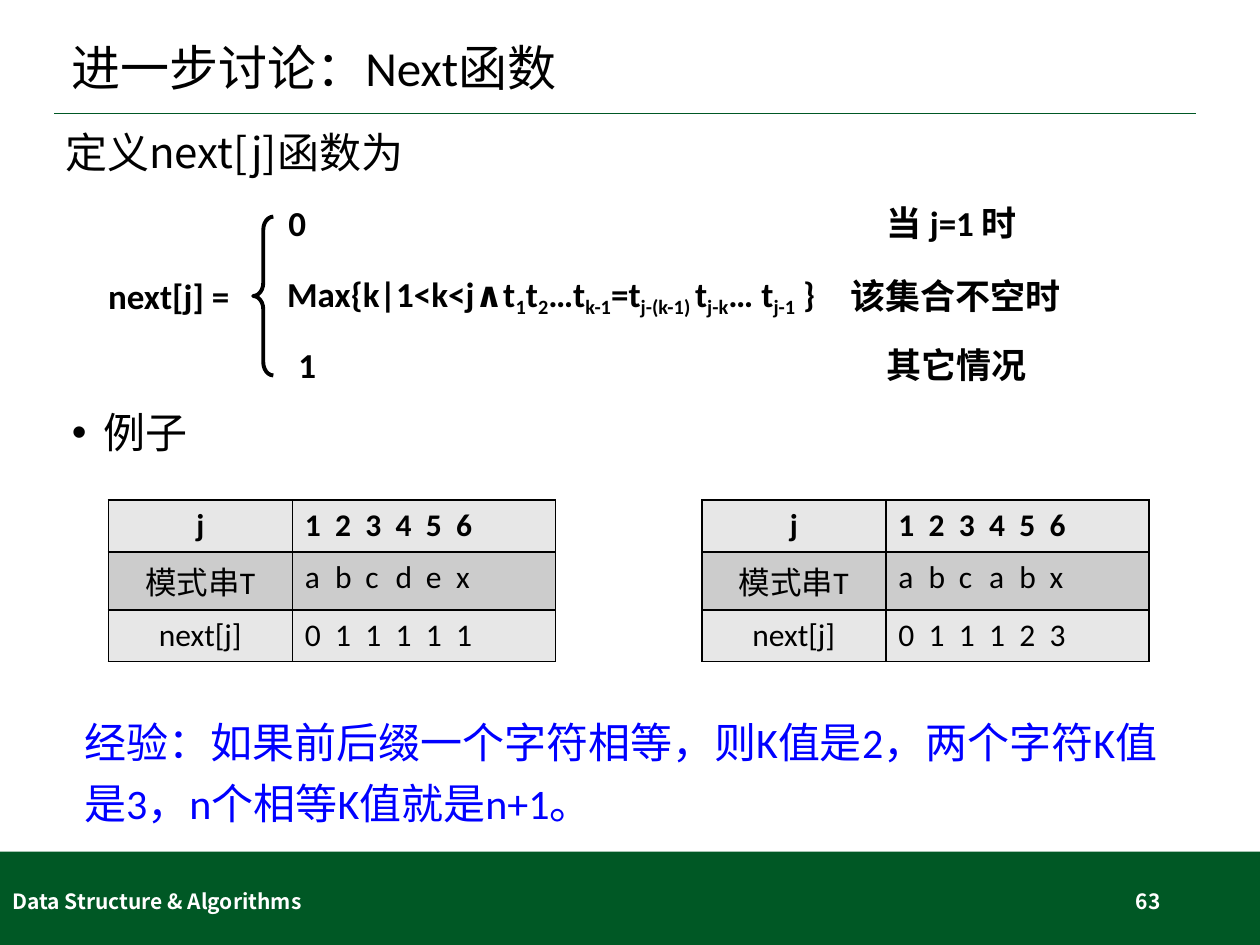
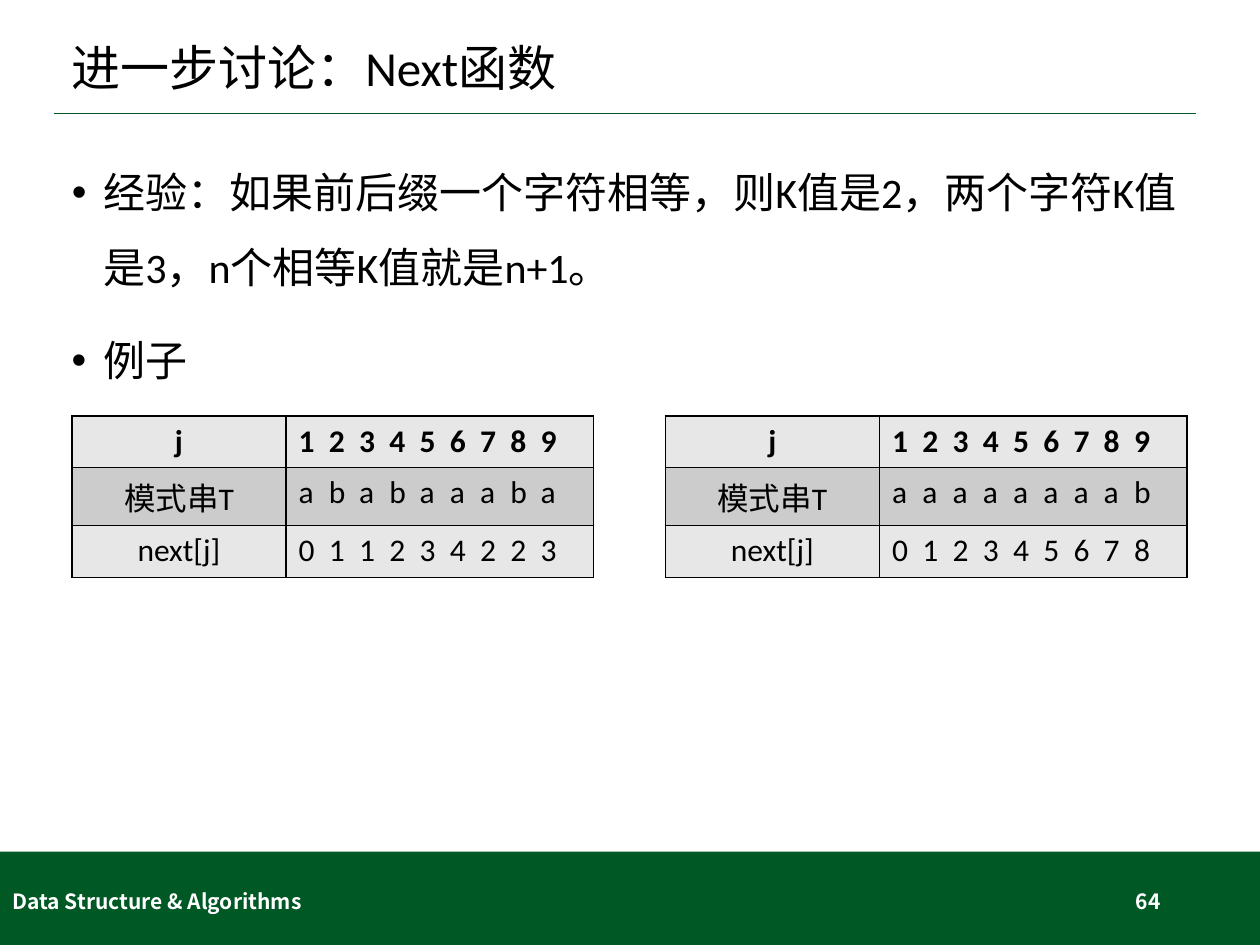
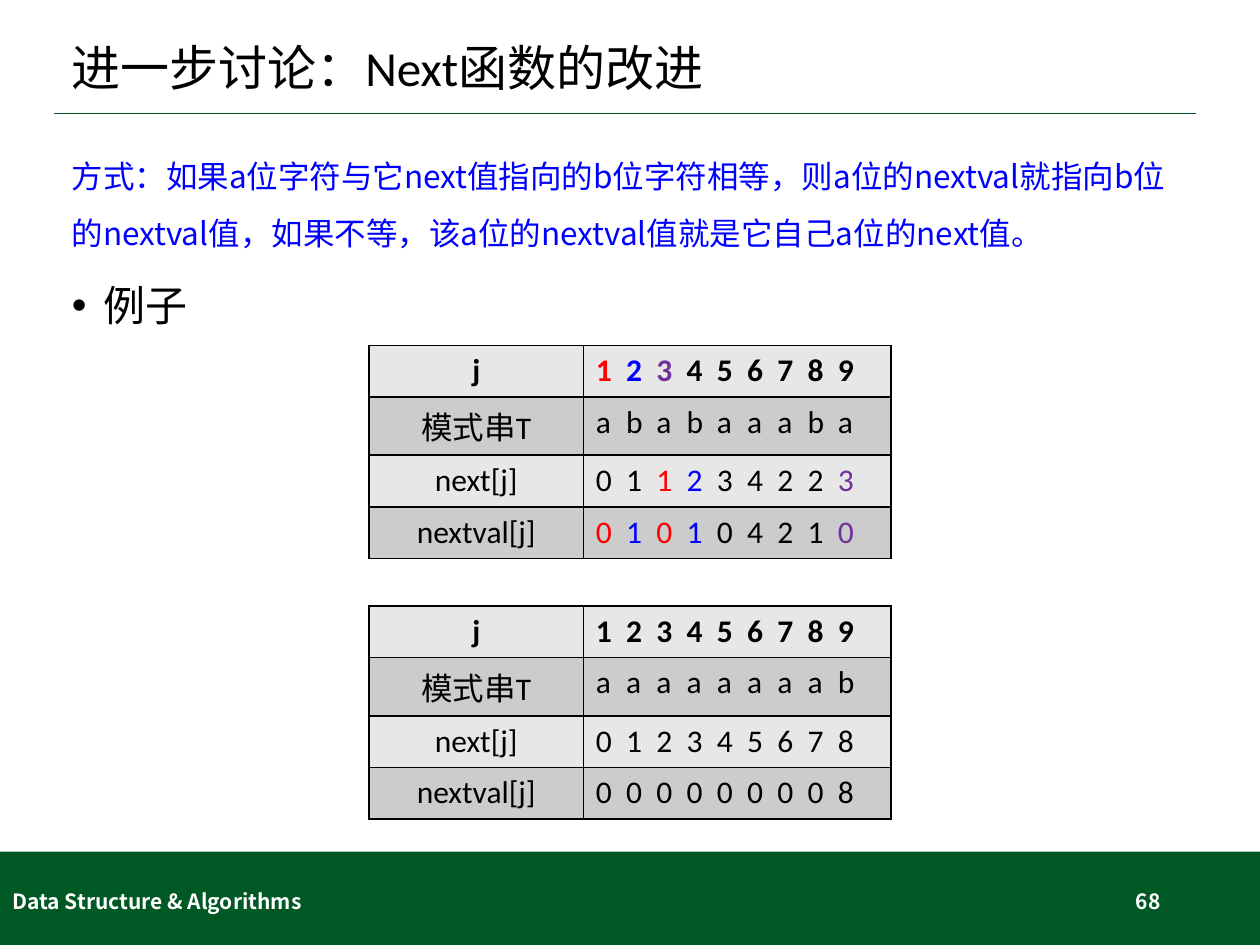
"""Build three slides on the next function of string pattern matching."""
from itertools import groupby

from lxml.etree import SubElement
from pptx import Presentation
from pptx.dml.color import RGBColor
from pptx.enum.shapes import MSO_CONNECTOR, MSO_SHAPE
from pptx.enum.text import MSO_ANCHOR, MSO_AUTO_SIZE, PP_ALIGN
from pptx.oxml.ns import qn
from pptx.util import Inches, Pt

COLORS = {
    "green": "005825", "white": "FFFFFF", "black": "000000",
    "red": "FF0000", "blue": "0000FF", "purple": "7030A0",
    "light": "E7E7E7", "dark": "CCCCCC",
}
TINTS = {"k": "black", "r": "red", "b": "blue", "p": "purple"}
RGB = {name: RGBColor.from_string(value) for name, value in COLORS.items()}
LATIN, CJK = "Calibri", "Noto Sans CJK SC"
PITCH = 0.24


def write(slide, text, at=None, holder=None, size=24, color="black", bold=False, font=LATIN,
          align=PP_ALIGN.LEFT, spacing=1.0, anchor=MSO_ANCHOR.TOP, bullet=False, stops=0):
    """Write text, or (text, run format) pairs, into a holder or a new text box."""
    if holder is None:
        holder = slide.shapes.add_textbox(0, 0, 0, 0)
    frame = holder.text_frame
    if at:
        holder.left, holder.top, holder.width, holder.height = map(Inches, at)
        frame.word_wrap = True
        frame.auto_size = MSO_AUTO_SIZE.NONE
        frame.vertical_anchor = anchor
    paragraph = frame.paragraphs[0]
    properties = paragraph._p.get_or_add_pPr()
    if bullet:
        properties.set("marL", str(Inches(0.25)))
        properties.set("indent", str(-Inches(0.25)))
        SubElement(properties, qn("a:buFont"), typeface="Arial")
        SubElement(properties, qn("a:buChar"), char="•")
    if stops:
        tabs = SubElement(properties, qn("a:tabLst"))
        for stop in range(1, stops + 1):
            SubElement(tabs, qn("a:tab"), pos=str(Inches(PITCH * stop)), algn="l")
    paragraph.alignment = align
    paragraph.line_spacing = spacing
    paragraph.space_before = Pt(0)
    for words, extra in [(text, {})] if isinstance(text, str) else text:
        run = paragraph.add_run()
        run.text = words
        run.font.size = Pt(size)
        run.font.bold = bold
        run.font.name = font
        run.font.color.rgb = RGB[extra.get("color", color)]
        run_properties = run._r.get_or_add_rPr()
        SubElement(run_properties, qn("a:ea"), typeface=CJK)
        if "base" in extra:
            run_properties.set("baseline", str(extra["base"] * 1000))


def add_grid(slide, left, top, widths, rows):
    """Add a table of (label, symbols, tints) rows, one tab stop for each symbol."""
    grid = slide.shapes.add_table(len(rows), 2, Inches(left), Inches(top),
                                  Inches(sum(widths)), Inches(0.41 * len(rows))).table
    grid.first_row = grid.horz_banding = False
    for column, width in zip(grid.columns, widths):
        column.width = Inches(width)
    for index, (label, symbols, *tints) in enumerate(rows):
        grid.rows[index].height = Inches(0.41)
        pairs = list(zip(symbols, tints[0] if tints else "k" * len(symbols)))
        parts = [("".join(symbol + "\t" for symbol, _ in group), {"color": TINTS[tint]})
                 for tint, group in groupby(pairs, key=lambda pair: pair[1])]
        parts[-1] = (parts[-1][0].rstrip("\t"), parts[-1][1])
        heading, values = grid.cell(index, 0), grid.cell(index, 1)
        write(slide, label, holder=heading, size=18, bold=index == 0, align=PP_ALIGN.CENTER)
        write(slide, parts, holder=values, size=18, bold=index == 0, stops=len(symbols))
        for cell in (heading, values):
            borders = cell._tc.get_or_add_tcPr()
            for side in ("a:lnL", "a:lnR", "a:lnT", "a:lnB"):
                edge = SubElement(borders, qn(side), w=str(Pt(1)))
                ink = SubElement(edge, qn("a:solidFill"))
                SubElement(ink, qn("a:srgbClr"), val=COLORS["black"])
            cell.fill.solid()
            cell.fill.fore_color.rgb = RGB["dark" if index % 2 else "light"]


deck = Presentation()
deck.slide_width, deck.slide_height = Inches(10), Inches(7.5)

RULE = "经验：如果前后缀一个字符相等，则K值是2，两个字符K值是3，n个相等K值就是n+1。"
EXAMPLE = "例子"
pages = [
    ("进一步讨论：Next函数", "63", EXAMPLE, 3.22, 0.9),
    ("进一步讨论：Next函数", "64", RULE, 1.07, 1.5),
    ("进一步讨论：Next函数的改进", "68", EXAMPLE, 2.21, 0.9),
]
slides = []
for title, number, body, body_top, body_spacing in pages:
    slide = deck.slides.add_slide(deck.slide_layouts[1])
    slides.append(slide)

    band = slide.shapes.add_shape(MSO_SHAPE.RECTANGLE, 0, Inches(6.76), Inches(10), Inches(0.74))
    band.shadow.inherit = False
    band.fill.solid()
    band.fill.fore_color.rgb = RGB["green"]
    band.line.fill.background()

    underline = slide.shapes.add_connector(MSO_CONNECTOR.STRAIGHT, Inches(0.43), Inches(0.9),
                                           Inches(9.49), Inches(0.9))
    underline.line.color.rgb = RGB["green"]
    underline.line.width = Pt(1)
    SubElement(underline._element.spPr, qn("a:effectLst"))

    write(slide, title, (0.47, 0.23, 9.06, 0.66), slide.shapes.title, size=28,
          spacing=0.9, anchor=MSO_ANCHOR.MIDDLE)
    write(slide, body, (0.47, body_top, 9.06, 6.61 - body_top), slide.placeholders[1],
          spacing=body_spacing, bullet=True)
    footer = dict(size=12, color="white", bold=True, font=CJK, anchor=MSO_ANCHOR.MIDDLE)
    write(slide, number, (7.06, 6.95, 2.25, 0.4), align=PP_ALIGN.RIGHT, **footer)
    write(slide, "Data Structure & Algorithms", (0, 6.95, 3.38, 0.4), **footer)

definition, experience, improvement = slides

write(definition, "定义next[j]函数为", (0.42, 0.93, 3.4, 0.55), font=CJK, anchor=MSO_ANCHOR.MIDDLE)
brace = definition.shapes.add_shape(MSO_SHAPE.LEFT_BRACE, Inches(2.01), Inches(1.72),
                                    Inches(0.16), Inches(1.26))
brace.shadow.inherit = False
brace.fill.background()
brace.line.color.rgb = RGB["black"]
brace.line.width = Pt(2.25)
brace.adjustments[0] = 0.66

pieces = ["Max{k|1<k<j∧t", "1", "t", "2", "…t", "k-1", "=t", "j-(k-1) ", "t", "j-k",
          "… t", "j-1", " }"]
maximum = [(piece, {"base": -20} if place % 2 else {}) for place, piece in enumerate(pieces)]
formula = [
    ("next[j] =", 0.76, 2.11, 1.3),
    ("0", 2.19, 1.53, 0.5), ("当 j=1 时", 6.94, 1.53, 2),
    (maximum, 2.18, 2.11, 4.6), ("该集合不空时", 6.65, 2.11, 2.2),
    ("1", 2.27, 2.66, 0.5), ("其它情况", 6.94, 2.66, 2),
]
for text, left, top, width in formula:
    write(definition, text, (left, top, width, 0.47), size=20, bold=True, anchor=MSO_ANCHOR.MIDDLE)

for left, pattern, following in [(0.86, "abcdex", "011111"), (5.57, "abcabx", "011123")]:
    add_grid(definition, left, 3.97, (1.46, 2.09),
             [("j", "123456"), ("模式串T", pattern), ("next[j]", following)])
write(definition, RULE, (0.57, 5.56, 8.86, 1.07), color="blue", spacing=1.2)

wide = (1.7, 2.44)
mixed = [("j", "123456789"), ("模式串T", "ababaaaba"), ("next[j]", "011234223")]
repeated = [("j", "123456789"), ("模式串T", "aaaaaaaab"), ("next[j]", "012345678")]
write(experience, EXAMPLE, (0.47, 2.65, 9.06, 3.95), spacing=0.9, bullet=True)
add_grid(experience, 0.57, 3.3, wide, mixed)
add_grid(experience, 5.28, 3.3, wide, repeated)

write(improvement, "方式：如果a位字符与它next值指向的b位字符相等，则a位的nextval就指向b位的nextval值，"
      "如果不等，该a位的nextval值就是它自己a位的next值。",
      (0.47, 1.05, 9.06, 1.01), size=18, color="blue", font=CJK, spacing=1.5)
marks = ["rbpkkkkkk", "kkkkkkkkk", "kkrbkkkkp"]
tinted = [(*row, mark) for row, mark in zip(mixed, marks)]
add_grid(improvement, 2.93, 2.74, wide, tinted + [("nextval[j]", "010104210", "rbrbkkkkp")])
add_grid(improvement, 2.93, 4.81, wide, repeated + [("nextval[j]", "000000008")])

deck.save("out.pptx")
